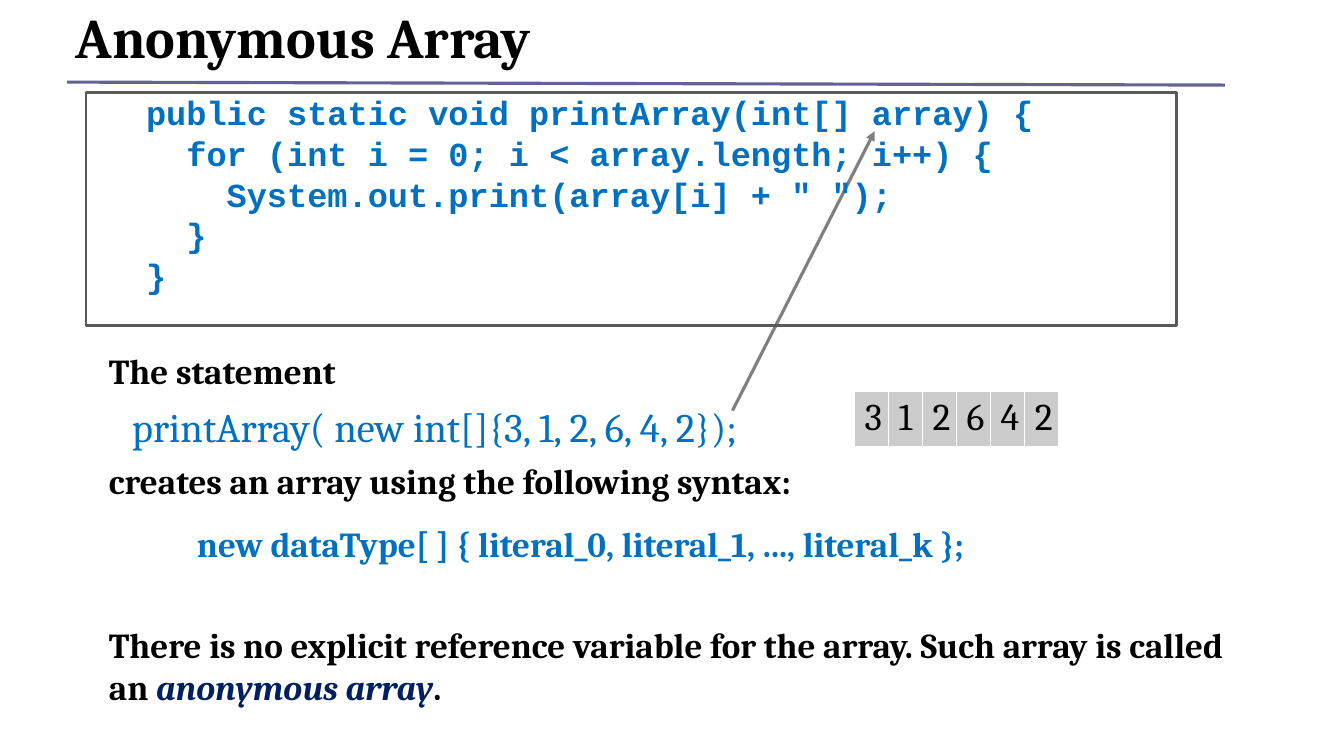
from lxml import etree
from pptx import Presentation
from pptx.dml.color import RGBColor
from pptx.enum.shapes import MSO_CONNECTOR, MSO_SHAPE
from pptx.enum.text import MSO_ANCHOR
from pptx.oxml.ns import qn
from pptx.util import Pt

PX = 9080
STRAIGHT = MSO_CONNECTOR.STRAIGHT
RECTANGLE = MSO_SHAPE.RECTANGLE
TOP, MIDDLE = MSO_ANCHOR.TOP, MSO_ANCHOR.MIDDLE
SERIF, MONO = "Cambria", "Courier New"
COLORS = {
    "black": "000000",
    "white": "FFFFFF",
    "code": "0070C0",
    "term": "002060",
    "rule": "626297",
    "frame": "595959",
    "arrow": "7F7F7F",
    "cell": "CCCCCC",
}
CODE = [
    "public static void printArray(int[] array) {",
    "  for (int i = 0; i < array.length; i++) {",
    '    System.out.print(array[i] + " ");',
    "  }",
    "}",
]
VALUES = [3, 1, 2, 6, 4, 2]


def px(n):
    return n * PX


def rgb(name):
    return RGBColor.from_string(COLORS[name])


def add_text(p, text, size=25, font=SERIF, color="black", bold=True, italic=False):
    r = p.add_run()
    r.text = text
    r.font.size = Pt(size)
    r.font.name = font
    r.font.color.rgb = rgb(color)
    r.font.bold = bold
    r.font.italic = italic


def add_box(s, x, y, w, h, anchor=TOP):
    tf = s.shapes.add_textbox(px(x), px(y), px(w), px(h)).text_frame
    tf.word_wrap = True
    tf.vertical_anchor = anchor
    return tf


def add_paragraph(tf, before=0, indent=0, spacing=1.0):
    p = tf.add_paragraph() if tf.paragraphs[0].runs else tf.paragraphs[0]
    p.space_before = Pt(before)
    p.line_spacing = spacing
    p._p.get_or_add_pPr().set("marL", str(px(indent)))
    return p


def add_line(s, x1, y1, x2, y2, color, arrow=False):
    line = s.shapes.add_connector(STRAIGHT, px(x1), px(y1), px(x2), px(y2))
    line.line.color.rgb = rgb(color)
    line.line.width = Pt(2.25)
    if arrow:
        etree.SubElement(line.line._get_or_add_ln(), qn("a:tailEnd"), type="triangle")
    etree.SubElement(line._element.spPr, qn("a:effectLst"))


def add_frame(s, x, y, w, h):
    sp = s.shapes.add_shape(RECTANGLE, px(x), px(y), px(w), px(h))
    sp.shadow.inherit = False
    sp.fill.background()
    sp.line.color.rgb = rgb("frame")
    sp.line.width = Pt(2)


def add_borders(cell):
    tcPr = cell._tc.get_or_add_tcPr()
    for i, side in enumerate(("a:lnL", "a:lnR", "a:lnT", "a:lnB")):
        ln = etree.Element(qn(side), w=str(Pt(1)))
        fill = etree.SubElement(ln, qn("a:solidFill"))
        etree.SubElement(fill, qn("a:srgbClr"), val=COLORS["white"])
        tcPr.insert(i, ln)


def add_array(s, x, y, cell_w, h, values):
    n = len(values)
    table = s.shapes.add_table(1, n, px(x), px(y), px(cell_w * n), px(h)).table
    table.rows[0].height = px(h)
    for i, value in enumerate(values):
        table.columns[i].width = px(cell_w)
        cell = table.cell(0, i)
        cell.fill.solid()
        cell.fill.fore_color.rgb = rgb("cell")
        add_borders(cell)
        add_text(cell.text_frame.paragraphs[0], str(value), size=27, bold=False)


def add_explanation(s):
    tf = add_box(s, 86, 344, 1178, 390)
    add_text(add_paragraph(tf, indent=13), "The statement")
    add_text(add_paragraph(tf, before=7.3, indent=36),
             "printArray( new int[]{3, 1, 2, 6, 4, 2});", size=29, color="code", bold=False)
    add_text(add_paragraph(tf, before=6.2, indent=13),
             "creates an array using the following syntax:")
    add_text(add_paragraph(tf, before=15.6, indent=101),
             "new dataType[ ] { literal_0, literal_1, ..., literal_k };", color="code")
    p = add_paragraph(tf, before=42, indent=13)
    add_text(p, "There is no explicit reference variable for the array. "
                "Such array is called an ")
    add_text(p, "anonymous array", color="term", italic=True)
    add_text(p, ".")


def main():
    prs = Presentation()
    prs.slide_width, prs.slide_height = px(1343), px(755)
    s = prs.slides.add_slide(prs.slide_layouts[6])

    title = add_box(s, 66, 0, 1109, 84, MIDDLE)
    add_text(add_paragraph(title, spacing=0.8), "Anonymous Array", size=40)
    add_explanation(s)
    add_array(s, 854, 391, 34, 55, VALUES)
    add_line(s, 732, 410, 874, 131, "arrow", arrow=True)

    code = add_box(s, 136, 95, 914, 217)
    for i, text in enumerate(CODE):
        p = add_paragraph(code, before=6 if i else 0, spacing=0.8)
        add_text(p, text, size=24, font=MONO, color="code")

    add_frame(s, 86, 92, 1090, 233)
    add_line(s, 67, 82, 1224, 85, "rule")
    prs.save("out.pptx")


if __name__ == "__main__":
    main()
